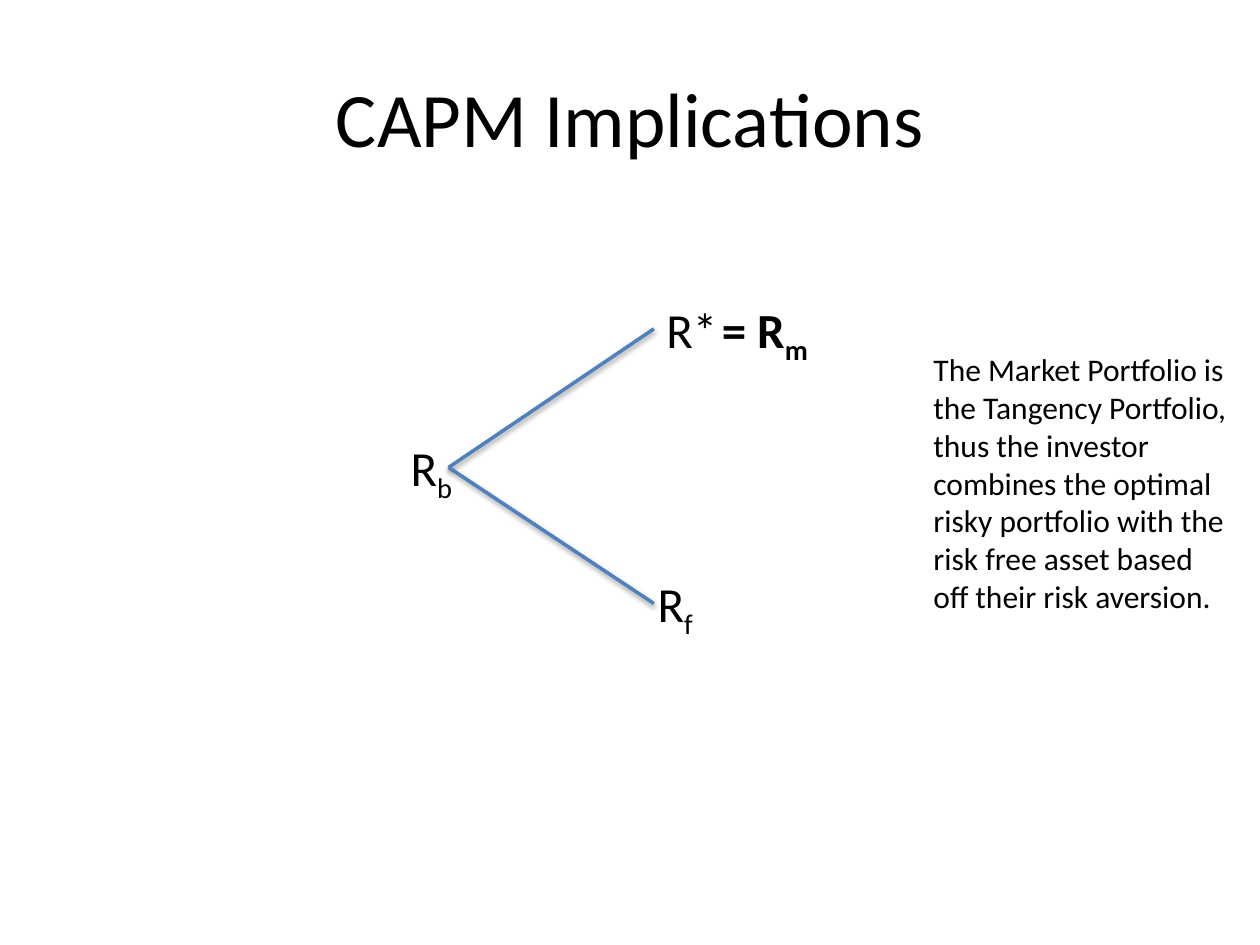
from lxml.etree import SubElement
from pptx import Presentation
from pptx.dml.color import RGBColor
from pptx.enum.shapes import MSO_CONNECTOR
from pptx.enum.text import MSO_ANCHOR, PP_ALIGN
from pptx.oxml.ns import qn
from pptx.util import Inches, Pt


def rgb(value):
    """Return the colour for a hex string."""
    return RGBColor.from_string(value)


def add_run(p, text, size, bold=False, subscript=False):
    """Append a black Calibri run to a paragraph."""
    r = p.add_run()
    r.text = text
    r.font.name = "Calibri"
    r.font.size = Pt(size)
    r.font.bold = bold
    r.font.color.rgb = rgb("000000")
    if subscript:
        r.font._element.set("baseline", "-25000")


prs = Presentation()
prs.slide_width, prs.slide_height = Inches(10), Inches(7.5)
s = prs.slides.add_slide(prs.slide_layouts[5])

title = s.shapes.title
title.left, title.top = Inches(0.5), Inches(0.3)
title.width, title.height = Inches(9), Inches(1.25)
title.text_frame.vertical_anchor = MSO_ANCHOR.MIDDLE
p = title.text_frame.paragraphs[0]
p.alignment = PP_ALIGN.CENTER
add_run(p, "CAPM Implications", 44)

# Branches from the combined portfolio to its two assets
for end_y in (2.61, 4.79):
    branch = s.shapes.add_connector(MSO_CONNECTOR.STRAIGHT, Inches(3.56),
                                    Inches(3.71), Inches(5.19), Inches(end_y))
    branch.line.color.rgb = rgb("4F81BD")
    branch.line.width = Pt(2)
    effects = SubElement(branch._element.spPr, qn("a:effectLst"))
    shadow = SubElement(effects, qn("a:outerShdw"), blurRad="40000",
                        dist="20000", dir="5400000", rotWithShape="0")
    black = SubElement(shadow, qn("a:srgbClr"), val="000000")
    SubElement(black, qn("a:alpha"), val="38000")

# Left, top, width, height, base text, subscript, bold
labels = [
    (3.16, 3.42, 0.55, 0.57, "R", "b", False),
    (5.19, 2.33, 0.61, 0.57, "R*", "", False),
    (5.12, 4.5, 0.51, 0.57, "R", "f", False),
    (5.63, 2.33, 0.92, 1.04, "= R", "m", True),
]
for left, top, width, height, base, sub, bold in labels:
    label = s.shapes.add_textbox(Inches(left), Inches(top),
                                 Inches(width), Inches(height))
    label.text_frame.word_wrap = False
    p = label.text_frame.paragraphs[0]
    add_run(p, base, 28, bold)
    if sub:
        add_run(p, sub, 28, bold, subscript=True)

note = s.shapes.add_textbox(Inches(7.31), Inches(2.73), Inches(2.52), Inches(2.52))
note.text_frame.word_wrap = True
add_run(note.text_frame.paragraphs[0],
        "The Market Portfolio is the Tangency Portfolio, thus the investor "
        "combines the optimal risky portfolio with the risk free asset based "
        "off their risk aversion.", 18)

prs.save("out.pptx")
